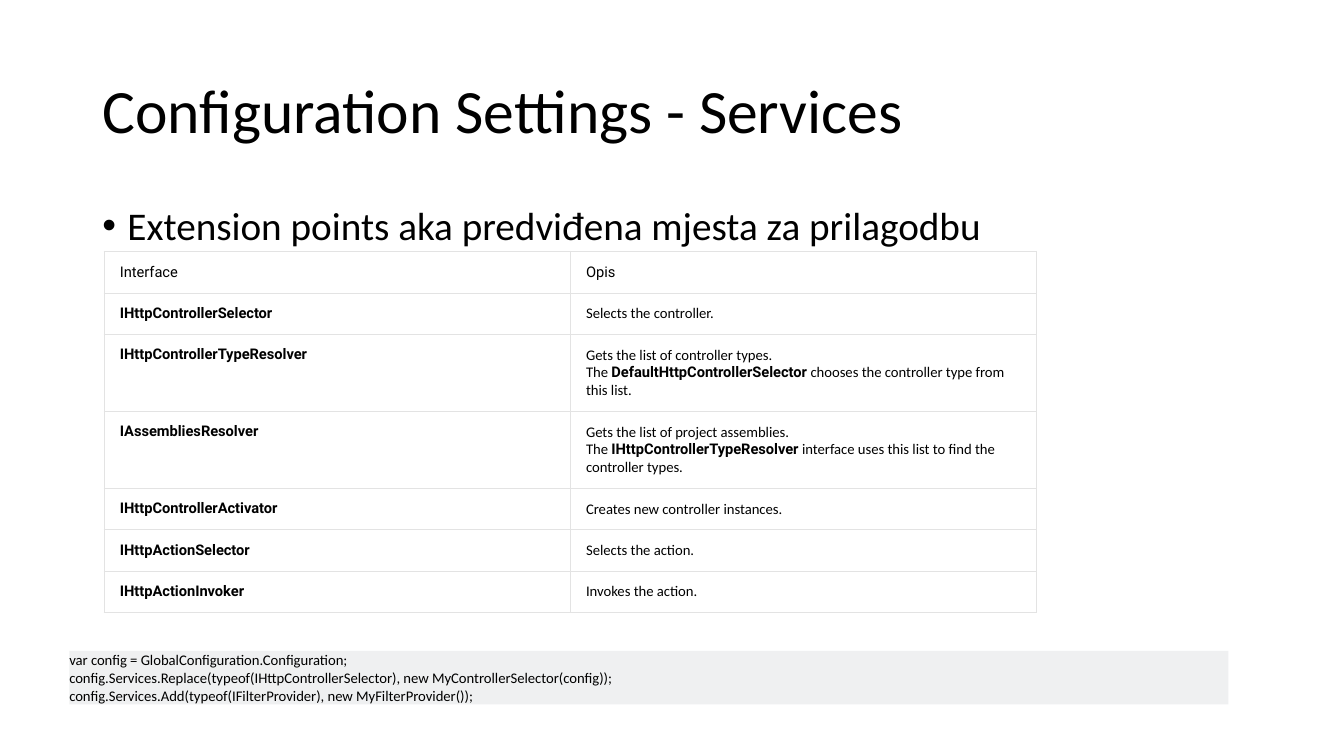
from lxml import etree
from pptx import Presentation, util as u
from pptx.dml import color
from pptx.enum import shapes, text
from pptx.oxml import ns

BLACK = color.RGBColor(0x00, 0x00, 0x00)
WHITE = color.RGBColor(0xFF, 0xFF, 0xFF)
RULE_GRAY = color.RGBColor(0xE3, 0xE3, 0xE3)
CODE_GRAY = color.RGBColor(0xEF, 0xF0, 0xF1)
NBSP = chr(160)

TITLE = "Configuration Settings - Services"
BULLET = "Extension points aka predviđena mjesta za prilagodbu"
HEADINGS = ("Interface", "Opis")
SERVICES = [
    ("IHttpControllerSelector", ["Selects the controller."]),
    ("IHttpControllerTypeResolver", [
        f"Gets the list of controller types. The{NBSP}",
        "DefaultHttpControllerSelector",
        f"{NBSP}chooses the controller type from this list."]),
    ("IAssembliesResolver", [
        f"Gets the list of project assemblies. The{NBSP}",
        "IHttpControllerTypeResolver",
        f"{NBSP}interface uses this list to find the controller types."]),
    ("IHttpControllerActivator", ["Creates new controller instances."]),
    ("IHttpActionSelector", ["Selects the action."]),
    ("IHttpActionInvoker", ["Invokes the action."]),
]
CODE = [
    "var config = GlobalConfiguration.Configuration;",
    "config.Services.Replace(typeof(IHttpControllerSelector), new MyControllerSelector(config));",
    "config.Services.Add(typeof(IFilterProvider), new MyFilterProvider());",
]


def apply(target, values):
    """Set each named attribute of the target."""
    for name, value in values.items():
        setattr(target, name, value)


class Page:
    """Hold the style and the current slide."""

    plain = {"name": "Calibri", "size": u.Pt(10.5), "bold": False}
    heading = {**plain, "name": "Roboto"}
    code_name = {**heading, "bold": True}

    def __init__(self, deck):
        """Add a blank slide to the deck."""
        self.slide = deck.slides.add_slide(deck.slide_layouts[6])

    def spans(self, para, pieces):
        """Write (words, format) pieces into a paragraph."""
        for words, style in pieces:
            span = para.add_run()
            span.text = words
            apply(span.font, style)
            span.font.color.rgb = BLACK

    def text_box(self, place, words, size, anchor, bullet=False):
        """Add a one-paragraph text box, with a bullet if asked."""
        box = self.slide.shapes.add_textbox(*map(u.Pt, place))
        apply(box.text_frame, {"word_wrap": True, "vertical_anchor": anchor})
        para = box.text_frame.paragraphs[0]
        if bullet:
            settings = para._p.get_or_add_pPr()
            settings.set("marL", str(u.Pt(18)))
            settings.set("indent", str(u.Pt(-18)))
            etree.SubElement(settings, ns.qn("a:buFont"), typeface="Arial")
            etree.SubElement(settings, ns.qn("a:buChar"), char="•")
        para.line_spacing = 0.9
        self.spans(para, [(words, {**self.plain, "size": u.Pt(size)})])

    def borders(self, cell, widths):
        """Draw the left, right, top and bottom borders of a cell."""
        settings = cell._tc.get_or_add_tcPr()
        for side, width in zip("LRTB", widths):
            line = etree.SubElement(settings, ns.qn(f"a:ln{side}"), w=str(u.Pt(width)))
            fill = etree.SubElement(line, ns.qn("a:solidFill"))
            etree.SubElement(fill, ns.qn("a:srgbClr"), val=str(RULE_GRAY))

    def table(self, place, heights, rows):
        """Add a two-column table from rows of text pieces."""
        frame = self.slide.shapes.add_table(len(rows), 2, *map(u.Pt, place))
        table = frame.table
        apply(table, {"first_row": False, "horz_banding": False})
        last = len(rows) - 1
        for r, (height, row) in enumerate(zip(heights, rows)):
            table.rows[r].height = u.Pt(height)
            for c, pieces in enumerate(row):
                cell = table.cell(r, c)
                top, bottom = (1 if r == edge else 0.75 for edge in (0, last))
                self.borders(cell, (1, 1, top, bottom))
                cell.fill.solid()
                cell.fill.fore_color.rgb = WHITE
                apply(cell, {
                    "margin_left": u.Pt(11.25), "margin_right": u.Pt(11.25),
                    "margin_top": u.Pt(8.5), "margin_bottom": u.Pt(8.5),
                    "vertical_anchor": text.MSO_ANCHOR.TOP if r else text.MSO_ANCHOR.BOTTOM})
                self.spans(cell.text_frame.paragraphs[0], pieces)

    def code_block(self, place, lines):
        """Add a filled rectangle with one paragraph per code line."""
        box = self.slide.shapes.add_shape(shapes.MSO_SHAPE.RECTANGLE, *map(u.Pt, place))
        box.shadow.inherit = False
        box.fill.solid()
        box.fill.fore_color.rgb = CODE_GRAY
        box.line.fill.background()
        frame = box.text_frame
        apply(frame, {
            "margin_left": 0, "margin_right": 0, "margin_top": 0, "margin_bottom": 0,
            "word_wrap": True, "vertical_anchor": text.MSO_ANCHOR.MIDDLE,
            "auto_size": text.MSO_AUTO_SIZE.SHAPE_TO_FIT_TEXT})
        for number, line in enumerate(lines):
            para = frame.add_paragraph() if number else frame.paragraphs[0]
            para.alignment = text.PP_ALIGN.LEFT
            self.spans(para, [(line, self.plain)])


def main():
    """Build the services slide and save it."""
    deck = Presentation()
    apply(deck, {"slide_width": u.Pt(960), "slide_height": u.Pt(540)})
    page = Page(deck)
    page.text_box((66, 28.75, 828, 104.4), TITLE, 44, text.MSO_ANCHOR.MIDDLE)
    page.text_box((66, 143.75, 828, 342.6), BULLET, 28, text.MSO_ANCHOR.TOP, bullet=True)
    rows = [[[(words, page.heading)] for words in HEADINGS]]
    for service, pieces in SERVICES:
        styles = (page.plain, page.code_name, page.plain)
        rows.append([[(service, page.code_name)], list(zip(pieces, styles))])
    heights = [29.5] + [55 if len(pieces) > 1 else 29.5 for _, pieces in SERVICES]
    page.table((74.4, 179.7, 666, sum(heights)), heights, rows)
    page.code_block((49.5, 465, 828, 38.2), CODE)
    deck.save("out.pptx")


if __name__ == "__main__":
    main()
